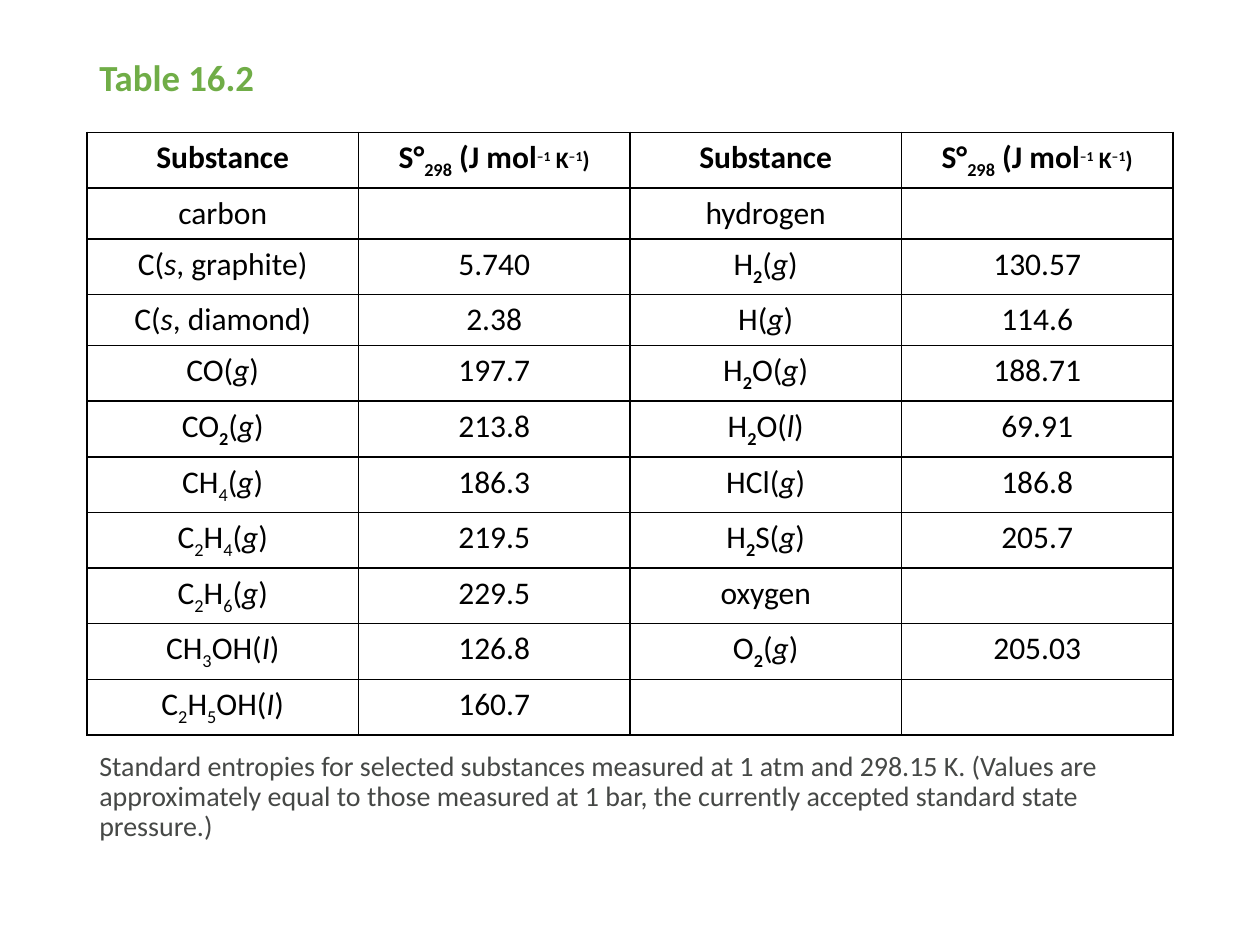
from lxml import etree
from pptx import Presentation
from pptx.dml.color import RGBColor
from pptx.enum import text
from pptx.oxml import ns
from pptx.util import Inches, Pt

ENTROPY = "S°|_298| (J mol|^–1|~ K|^–1|~)"
ROWS = [
    ("Substance", ENTROPY, "Substance", ENTROPY),
    ("carbon", "", "hydrogen", ""),
    ("C(|/s|, graphite)", "5.740", "H|*2|(|/g|)", "130.57"),
    ("C(|/s|, diamond)", "2.38", "H(|/g|)", "114.6"),
    ("CO(|/g|)", "197.7", "H|*2|O(|/g|)", "188.71"),
    ("CO|*2|(|/g|)", "213.8", "H|*2|O(|/l|)", "69.91"),
    ("CH|_4|(|/g|)", "186.3", "HCl(|/g|)", "186.8"),
    ("C|_2|H|_4|(|/g|)", "219.5", "H|*2|S(|/g|)", "205.7"),
    ("C|_2|H|_6|(|/g|)", "229.5", "oxygen", ""),
    ("CH|_3|OH(|/I|)", "126.8", "O|*2|(|/g|)", "205.03"),
    ("C|_2|H|_5|OH(|/I|)", "160.7", "", ""),
]
STYLES = {
    "_": dict(base=-25),
    "*": dict(base=-25, bold=True),
    "/": dict(italic=True),
    "^": dict(base=30, size=13.5),
    "~": dict(size=13.5),
}
CAPTION = ("Standard entropies for selected substances measured at 1 atm and "
           "298.15 K. (Values are approximately equal to those measured at "
           "1 bar, the currently accepted standard state pressure.)")


def rgb(color):
    """Turn a hex string into a colour."""
    return RGBColor.from_string(color)


def add_run(p, words, size=18, color="000000", bold=False, italic=False, base=0):
    """Add one formatted run to a paragraph."""
    r = p.add_run()
    r.text = words
    r.font.name, r.font.size = "Calibri", Pt(size)
    r.font.bold, r.font.italic = bold, italic
    r.font.color.rgb = rgb(color)
    if base:
        r.font._element.set("baseline", str(base * 1000))


def add_formula(p, formula, bold):
    """Add the runs of a formula whose parts start with a style mark."""
    for part in filter(None, formula.split("|")):
        style = STYLES.get(part[0], {})
        add_run(p, part[1:] if style else part, **{"bold": bold, **style})


def add_text(s, words, top, height, anchor=text.MSO_ANCHOR.TOP, **style):
    """Add a wrapped text box across the content width."""
    sp = s.shapes.add_textbox(Inches(0.69), Inches(top), Inches(8.62), Inches(height))
    tf = sp.text_frame
    tf.word_wrap, tf.vertical_anchor = True, anchor
    p = tf.paragraphs[0]
    p.line_spacing = 0.9
    add_run(p, words, **style)


def set_borders(cell, color="000000", width=1):
    """Draw a solid line on each side of a cell."""
    tcPr = cell._tc.get_or_add_tcPr()
    for i, side in enumerate(("lnL", "lnR", "lnT", "lnB")):
        ln = etree.Element(ns.qn("a:" + side), w=str(Pt(width)))
        fill = etree.SubElement(ln, ns.qn("a:solidFill"))
        etree.SubElement(fill, ns.qn("a:srgbClr"), val=color)
        tcPr.insert(i, ln)


def add_entropy_table(s):
    """Add the table of standard entropies."""
    sp = s.shapes.add_table(len(ROWS), len(ROWS[0]), Inches(0.69), Inches(1.05),
                            Inches(8.62), Inches(4.46))
    table = sp.table
    table.first_row = table.horz_banding = False
    for i, row in enumerate(ROWS):
        for j, formula in enumerate(row):
            cell = table.cell(i, j)
            cell.fill.background()
            set_borders(cell)
            p = cell.text_frame.paragraphs[0]
            p.alignment = text.PP_ALIGN.CENTER
            add_formula(p, formula, bold=i == 0)


def main():
    """Build the slide and save it."""
    prs = Presentation()
    prs.slide_width, prs.slide_height = Inches(10), Inches(7.5)
    s = prs.slides.add_slide(prs.slide_layouts[6])
    add_text(s, "Table 16.2", 0.4, 0.46, text.MSO_ANCHOR.MIDDLE,
             size=21, color="70AD47", bold=True)
    add_entropy_table(s)
    add_text(s, CAPTION, 5.92, 0.85, size=16, color="464846")
    prs.save("out.pptx")


if __name__ == "__main__":
    main()
